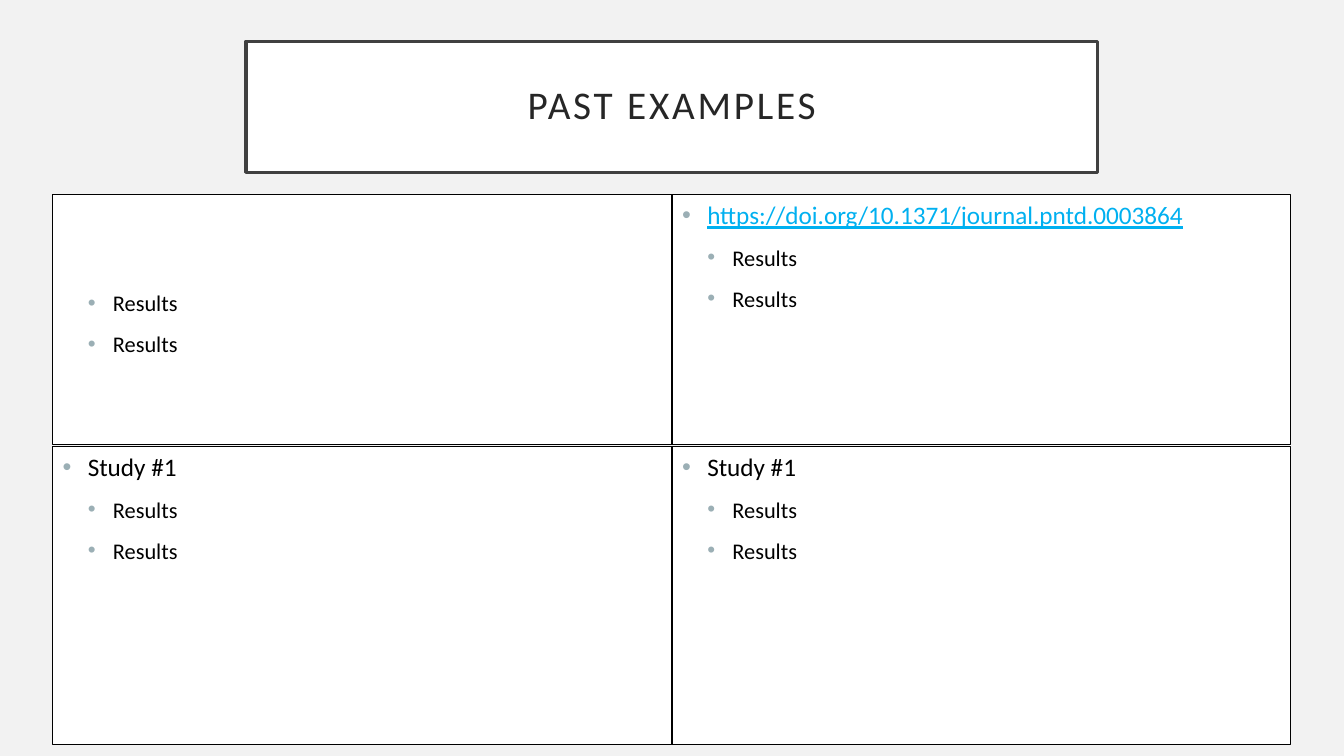
from lxml import etree
from pptx import Presentation
from pptx.dml.color import RGBColor
from pptx.enum.text import MSO_ANCHOR, MSO_AUTO_SIZE, PP_ALIGN
from pptx.oxml.ns import qn
from pptx.util import Pt

TOP, MIDDLE = MSO_ANCHOR.TOP, MSO_ANCHOR.MIDDLE
LEFT, CENTER = PP_ALIGN.LEFT, PP_ALIGN.CENTER
NO_AUTOFIT = MSO_AUTO_SIZE.NONE
COMPARISON_LAYOUT = 3 + 1

COLORS = {
    "background": "F2F2F2",
    "panel": "FFFFFF",
    "title_line": "404040",
    "title_text": "262626",
    "text": "000000",
    "bullet": "9BAFB5",
    "link": "00B0F0",
}

PANEL_WIDTH = 442
COLUMN_LEFTS = (37.5, 480)
ROWS = ((139, 178.5), (319, 213))
RESULTS = [("Results", 1, "text")] * 2
STUDY = [("Study #1", 0, "text")] + RESULTS
LINKED_STUDY = [("https://doi.org/10.1371/journal.pntd.0003864", 0, "link")] + RESULTS
PANELS = (
    (0, 0, RESULTS, 67.7),
    (0, 1, STUDY, 3.6),
    (1, 1, STUDY, 3.6),
    (1, 0, LINKED_STUDY, 3.6),
)


class SlideBuilder:
    font_name = "Calibri"
    level_sizes = (18, 16)
    indent = 18
    paragraph_gap = 10

    def __init__(self, presentation):
        layout = presentation.slide_layouts[COMPARISON_LAYOUT]
        self.slide = presentation.slides.add_slide(layout)
        self.paint(self.slide.background.fill, "background")

    def paint(self, fill, color):
        fill.solid()
        fill.fore_color.rgb = RGBColor.from_string(COLORS[color])

    def frame(self, shape, box, line_color, line_width, anchor, insets):
        shape.left, shape.top, shape.width, shape.height = map(Pt, box)
        self.paint(shape.fill, "panel")
        self.paint(shape.line.fill, line_color)
        shape.line.width = Pt(line_width)
        text_frame = shape.text_frame
        text_frame.word_wrap = True
        text_frame.auto_size = NO_AUTOFIT
        text_frame.vertical_anchor = anchor
        (text_frame.margin_left, text_frame.margin_top,
         text_frame.margin_right, text_frame.margin_bottom) = map(Pt, insets)
        return text_frame

    def run(self, paragraph, text, size, color):
        run = paragraph.add_run()
        run.text = text
        run.font.name = self.font_name
        run.font.size = Pt(size)
        run.font.bold = False
        self.paint(run.font.fill, color)
        return run

    def bullet(self, paragraph, level):
        properties = paragraph._p.get_or_add_pPr()
        properties.set("marL", str(Pt(self.indent * (level + 1))))
        properties.set("indent", str(-Pt(self.indent)))
        bullet_color = etree.SubElement(properties, qn("a:buClr"))
        etree.SubElement(bullet_color, qn("a:srgbClr"), val=COLORS["bullet"])
        etree.SubElement(properties, qn("a:buFont"), typeface="Arial")
        etree.SubElement(properties, qn("a:buChar"), char="•")

    def title(self, text, box):
        text_frame = self.frame(self.slide.shapes.title, box, "title_line", 2.5,
                                MIDDLE, (14.4,) * 4)
        paragraph = text_frame.paragraphs[0]
        paragraph.alignment = CENTER
        paragraph.line_spacing = 0.9
        run = self.run(paragraph, text, 28, "title_text")
        run.font._element.set("spc", "200")

    def panel(self, index, box, items, top_inset):
        text_frame = self.frame(self.slide.placeholders[index], box, "text", 1,
                                TOP, (7.2, top_inset, 7.2, 3.6))
        for position, (text, level, color) in enumerate(items):
            paragraph = text_frame.add_paragraph() if position else text_frame.paragraphs[0]
            paragraph.level = level
            self.bullet(paragraph, level)
            paragraph.alignment = LEFT
            paragraph.space_before = Pt(self.paragraph_gap if position else 0)
            run = self.run(paragraph, text, self.level_sizes[level], color)
            run.font.underline = color == "link"


def main():
    presentation = Presentation()
    presentation.slide_width, presentation.slide_height = Pt(960), Pt(540)
    builder = SlideBuilder(presentation)
    builder.title("PAST EXAMPLES", (175.7, 29.5, 608.4, 93.6))
    for index, (column, row, items, top_inset) in enumerate(PANELS, start=1):
        top, height = ROWS[row]
        box = (COLUMN_LEFTS[column], top, PANEL_WIDTH, height)
        builder.panel(index, box, items, top_inset)
    presentation.save("out.pptx")


if __name__ == "__main__":
    main()
